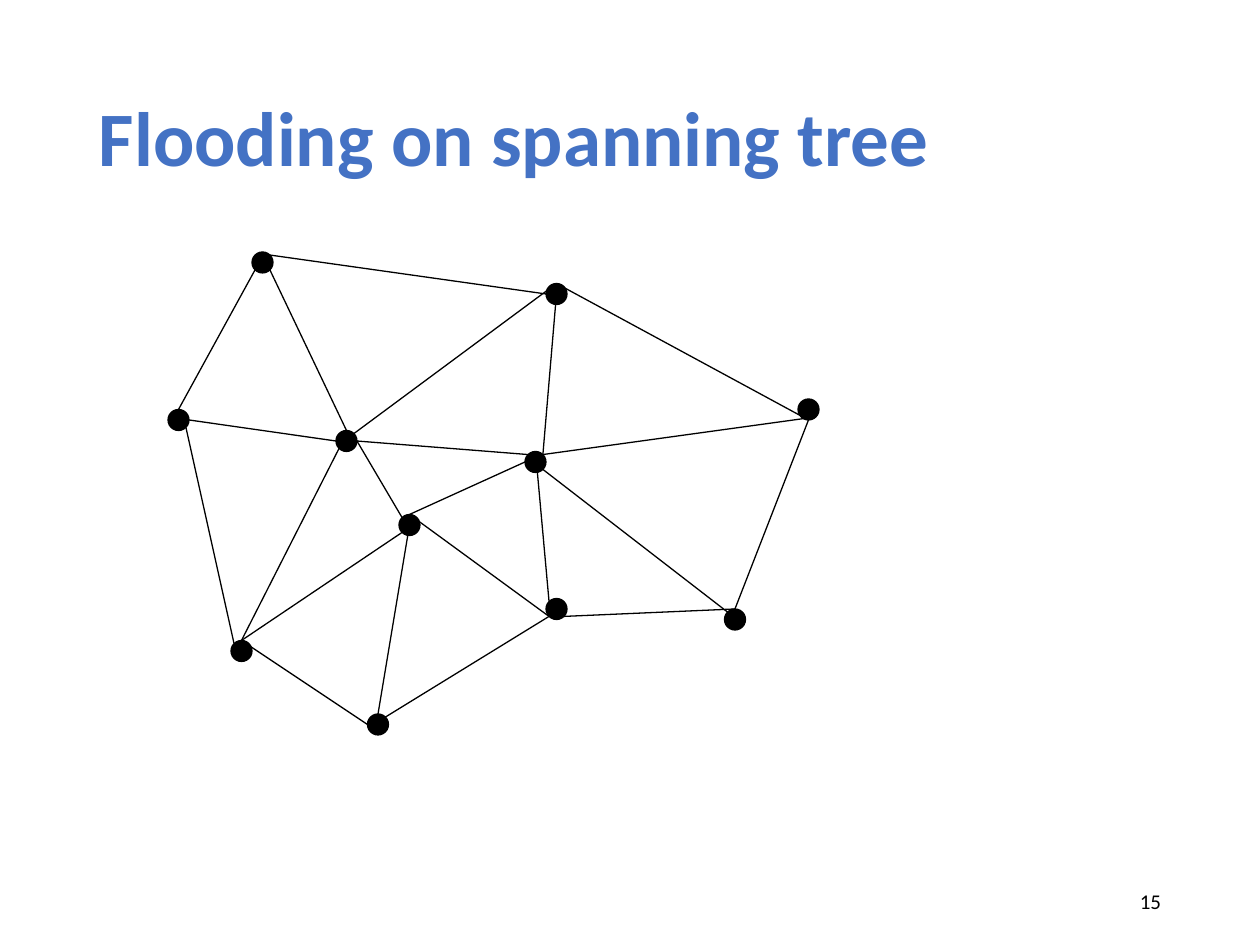
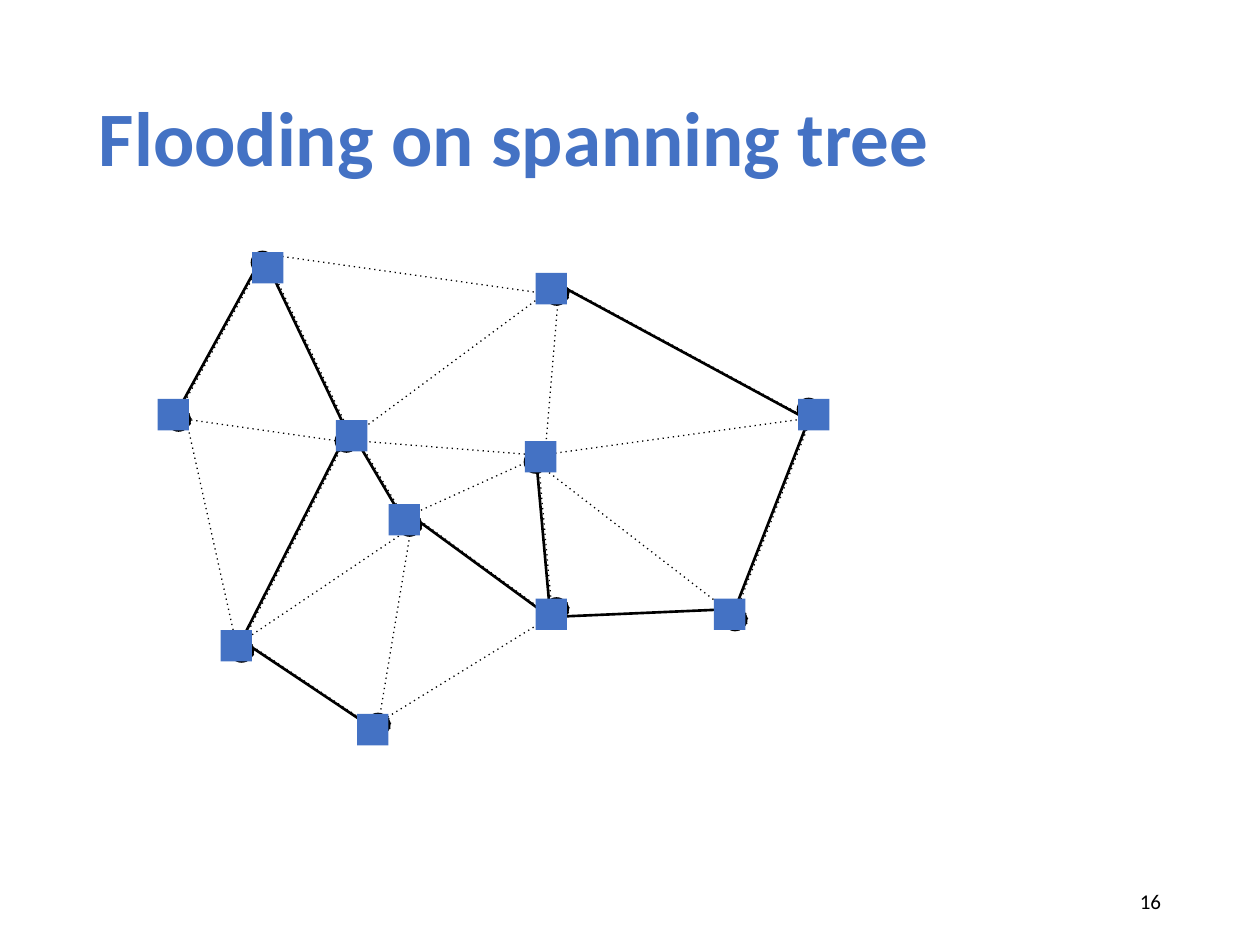
from math import sqrt

from lxml import etree
from pptx import Presentation
from pptx import util as u
from pptx.dml.color import RGBColor
from pptx.enum import shapes, text
from pptx.oxml.ns import qn

COLORS = {"ink": "000000", "accent": "4472C4"}
FONT = "Calibri"
DOT = 12
SQUARE = 18
DOTTED_SHIFT = 1.2

# Top-left corner of each node's dot, then of the square that marks it.
NODES = {
    "A": ((144, 144), (144, 144)),
    "B": ((96, 234), (90, 228)),
    "C": ((312, 162), (306, 156)),
    "D": ((312, 342), (306, 342)),
    "E": ((210, 408), (204, 408)),
    "F": ((192, 246), (192, 240)),
    "G": ((456, 228), (456, 228)),
    "H": ((228, 294), (222, 288)),
    "I": ((132, 366), (126, 360)),
    "J": ((300, 258), (300, 252)),
    "K": ((414, 348), (408, 342)),
}

DIAG = 1 / sqrt(2)
SIDES = {
    "mid": (0, 0), "n": (0, -1), "s": (0, 1), "w": (-1, 0), "e": (1, 0),
    "nw": (-DIAG, -DIAG), "ne": (DIAG, -DIAG),
    "sw": (-DIAG, DIAG), "se": (DIAG, DIAG),
}

TREE_EDGES = [
    "A.se F.n", "A.sw B.n", "F.e H.nw", "C.n G.s", "G.s K.n",
    "I.n E.w", "H.n D.sw", "K.n D.se", "J.n D.nw", "I.n F.sw",
]
OTHER_EDGES = [
    "B.se I.nw", "J.se K.nw", "C.mid J.ne", "H.mid E.n", "F.e J.nw",
    "B.e F.w", "I.n H.sw", "E.ne D.sw", "H.n J.w", "J.ne G.se",
    "A.ne C.w", "F.ne C.n",
]


def rgb(name):
    """Return the named colour."""
    return RGBColor.from_string(COLORS[name])


def style_line(line, width, dotted):
    """Set a black outline, dotted on request."""
    line.color.rgb = rgb("ink")
    line.width = u.Pt(width)
    if dotted:
        etree.SubElement(line._get_or_add_ln(), qn("a:prstDash"), val="dot")


def add_text(s, box, content, size, color, bold=False, align=None, spacing=None):
    """Add a vertically centred line of text."""
    tf = s.shapes.add_textbox(*map(u.Pt, box)).text_frame
    tf.word_wrap = True
    tf.vertical_anchor = text.MSO_ANCHOR.MIDDLE
    p = tf.paragraphs[0]
    p.alignment = align
    p.line_spacing = spacing
    r = p.add_run()
    r.text = content
    r.font.name = FONT
    r.font.size = u.Pt(size)
    r.font.bold = bold
    r.font.color.rgb = rgb(color)


def add_title(s):
    """Add the shared slide title."""
    add_text(s, (49.5, 28.8, 621, 104.4), "Flooding on spanning tree", 44,
             "accent", bold=True, spacing=0.9)


def add_number(s, number):
    """Add the slide number at the bottom right."""
    add_text(s, (508.5, 500.4, 162, 28.8), str(number), 12, "ink",
             align=text.PP_ALIGN.RIGHT)


def add_mark(tree, kind, corner, size, color):
    """Add a filled node mark without an outline and return it."""
    sp = tree.add_shape(kind, *map(u.Pt, (*corner, size, size)))
    sp.shadow.inherit = False
    sp.fill.solid()
    sp.fill.fore_color.rgb = rgb(color)
    sp.line.fill.background()
    return sp


def anchor(end, shift):
    """Return the point on a node's dot named like A.se."""
    node, side = end.split(".")
    return [u.Pt(corner + DOT / 2 * (1 + step) + offset)
            for corner, step, offset in zip(NODES[node][0], SIDES[side], (shift, 0))]


def add_edge(tree, edge, width, dotted, shift):
    """Add a line between two node anchors."""
    start, end = (anchor(name, shift) for name in edge.split())
    sp = tree.add_connector(shapes.MSO_CONNECTOR.STRAIGHT, *start, *end)
    style_line(sp.line, width, dotted)
    etree.SubElement(sp._element.spPr, qn("a:effectLst"))


def add_network(tree, edges, width=0.75, dotted=False, shift=0):
    """Add all node dots and the given edges."""
    for (x, y), _ in NODES.values():
        sp = add_mark(tree, shapes.MSO_SHAPE.OVAL, (x + shift, y), DOT, "ink")
        style_line(sp.line, width, dotted)
    for edge in edges:
        add_edge(tree, edge, width, dotted, shift)


def add_squares(tree):
    """Mark every node as reached with a square."""
    for _, corner in NODES.values():
        add_mark(tree, shapes.MSO_SHAPE.RECTANGLE, corner, SQUARE, "accent")


def main():
    """Build both slides and save them."""
    prs = Presentation()
    prs.slide_width, prs.slide_height = u.Pt(720), u.Pt(540)
    blank = prs.slide_layouts[6]
    all_edges = TREE_EDGES + OTHER_EDGES

    s = prs.slides.add_slide(blank)
    add_title(s)
    add_network(s.shapes.add_group_shape().shapes, all_edges)
    add_number(s, 15)

    s = prs.slides.add_slide(blank)
    add_network(s.shapes.add_group_shape().shapes, all_edges,
                dotted=True, shift=DOTTED_SHIFT)
    add_title(s)
    add_network(s.shapes, TREE_EDGES, width=1.5)
    add_squares(s.shapes)
    add_number(s, 16)

    prs.save("out.pptx")


if __name__ == "__main__":
    main()
